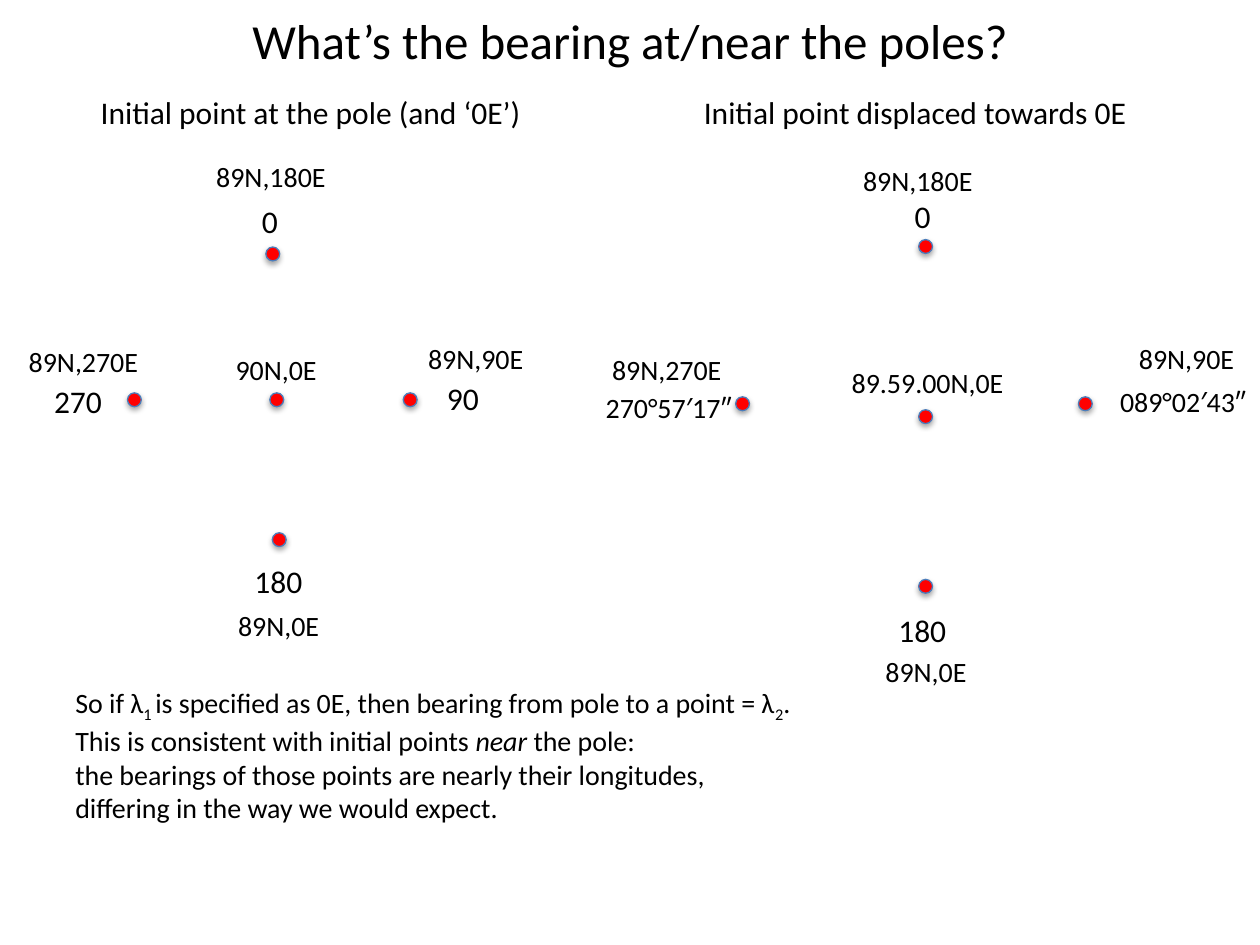
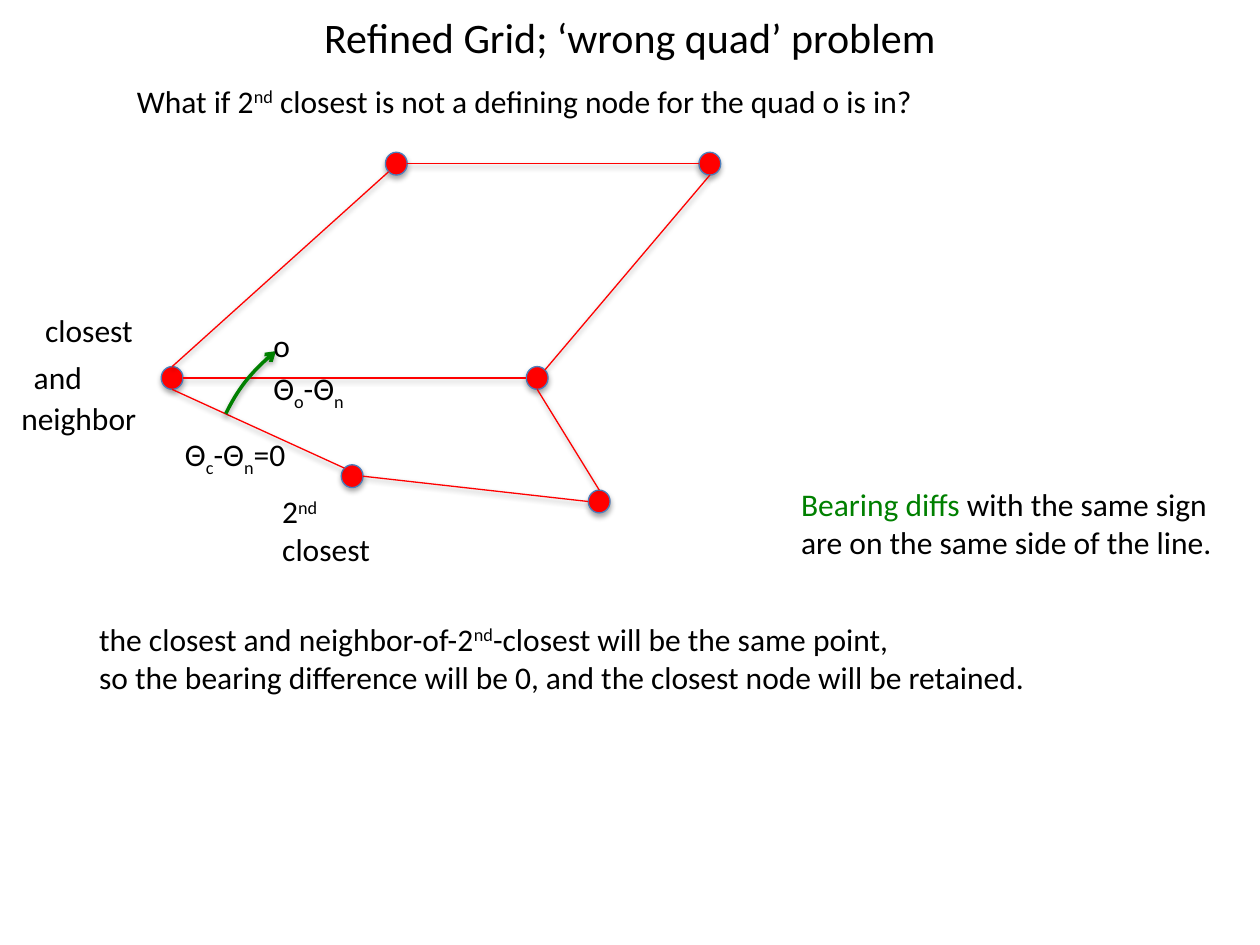
from math import cos, radians, sin

from lxml import etree
from pptx import Presentation
from pptx import util as u
from pptx.dml.color import RGBColor
from pptx.enum import shapes, text
from pptx.oxml.ns import qn

COLORS = {"text": "000000", "point": "FF0000", "outline": "4B7EBC", "bearing": "008000"}
FONT = "Calibri"
BASELINES = {"sub": "-25000", "sup": "30000"}
LABEL_FORMAT = {
    "word_wrap": False,
    "auto_size": text.MSO_AUTO_SIZE.SHAPE_TO_FIT_TEXT,
    "vertical_anchor": text.MSO_ANCHOR.TOP,
}
TITLE_FORMAT = {
    "word_wrap": True,
    "auto_size": text.MSO_AUTO_SIZE.NONE,
    "vertical_anchor": text.MSO_ANCHOR.MIDDLE,
}


def add_text(slide, lines, left, top, width, size, title_height=None):
    """Each line is a list of runs: plain strings or (string, style) pairs."""
    height = title_height or 0.25 + len(lines) * size * 0.043
    box = slide.shapes.add_textbox(u.Cm(left), u.Cm(top), u.Cm(width), u.Cm(height))
    frame = box.text_frame
    for name, value in (TITLE_FORMAT if title_height else LABEL_FORMAT).items():
        setattr(frame, name, value)
    for number, line in enumerate(lines):
        paragraph = frame.add_paragraph() if number else frame.paragraphs[0]
        if title_height:
            paragraph.alignment = text.PP_ALIGN.CENTER
        for part in line:
            words, style = (part, None) if isinstance(part, str) else part
            run = paragraph.add_run()
            run.text = words
            run_format = {"name": FONT, "size": u.Pt(size)}
            if style == "italic":
                run_format["italic"] = True
            for name, value in run_format.items():
                setattr(run.font, name, value)
            run.font.color.rgb = RGBColor.from_string(COLORS.get(style, COLORS["text"]))
            if style in BASELINES:
                run._r.get_or_add_rPr().set("baseline", BASELINES[style])


def add_point(slide, center_x, center_y, width, height):
    """Red dot that keeps the soft shadow of the theme."""
    shape = slide.shapes.add_shape(
        shapes.MSO_SHAPE.OVAL, u.Cm(center_x - width / 2), u.Cm(center_y - height / 2),
        u.Cm(width), u.Cm(height))
    shape.fill.solid()
    shape.fill.fore_color.rgb = RGBColor.from_string(COLORS["point"])
    shape.line.color.rgb = RGBColor.from_string(COLORS["outline"])
    shape.line.width = u.Pt(0.75)


presentation = Presentation()
presentation.slide_width, presentation.slide_height = u.Cm(25.4), u.Cm(19.05)
blank = presentation.slide_layouts[6]

# Slide 1: bearings around the pole
slide = presentation.slides.add_slide(blank)
add_text(slide, [["What’s the bearing at/near the poles?"]], 1.27, 0.05, 22.86, 28, 1.52)
add_text(slide, [["Initial point at the pole (and ‘0E’)"]], 1.78, 1.75, 9.07, 18)
add_text(slide, [["Initial point displaced towards 0E"]], 13.94, 1.75, 9.14, 18)

# Points: pole first, then north, west, east, south
pole_points = [(5.58, 8.06), (5.5, 5.12), (2.71, 8.06), (8.27, 8.06), (5.63, 10.88)]
displaced_points = [(18.66, 8.4), (18.66, 4.97), (14.97, 8.14), (21.88, 8.14), (18.66, 11.82)]
for x, y in pole_points + displaced_points:
    add_point(slide, x, y, 0.28, 0.28)

# Coordinates and bearings: words, left, top, width, size
labels = [
    ("89N,180E", 4.11, 3.1, 2.74, 16),
    ("90N,0E", 4.5, 6.99, 2.16, 16),
    ("89N,270E", 0.33, 6.83, 2.74, 16),
    ("89N,90E", 8.38, 6.76, 2.46, 16),
    ("89N,0E", 4.55, 12.14, 2.16, 16),
    ("0", 5.03, 3.94, 0.84, 18),
    ("270", 0.84, 7.57, 1.5, 18),
    ("90", 8.76, 7.52, 1.17, 18),
    ("180", 4.88, 11.2, 1.5, 18),
    ("89N,180E", 17.15, 3.18, 2.74, 16),
    ("89.59.00N,0E", 16.92, 7.24, 3.61, 16),
    ("89N,270E", 12.09, 6.99, 2.74, 16),
    ("89N,90E", 22.71, 6.76, 2.46, 16),
    ("89N,0E", 17.6, 13.08, 2.16, 16),
    ("0", 18.19, 3.84, 0.84, 18),
    ("270°57′17″", 11.96, 7.75, 3.07, 16),
    ("089°02′43″", 22.33, 7.62, 3.07, 16),
    ("180", 17.86, 12.19, 1.5, 18),
]
for words, left, top, width, size in labels:
    add_text(slide, [[words]], left, top, width, size)

# Conclusion
add_text(slide, [
    ["So if λ", ("1 ", "sub"),
     "is specified as 0E, then bearing from pole to a point = λ", ("2", "sub"), "."],
    ["This is consistent with initial points ", ("near", "italic"), " the pole:"],
    ["the bearings of those points are nearly their longitudes,"],
    ["differing in the way we would expect."],
], 1.27, 13.69, 15.24, 16)

# Slide 2: grid with the wrong quad
slide = presentation.slides.add_slide(blank)
add_text(slide, [["Refined Grid; ‘wrong quad’ problem"]], 1.27, 0, 22.86, 24, 1.47)
add_text(slide, [["What if 2", ("nd", "sup"),
                  " closest is not a defining node for the quad o is in?"]],
         2.51, 1.52, 16.38, 18)

# Grid nodes
NODE_WIDTH, NODE_HEIGHT = 0.44, 0.46
nodes = {
    "closest": (3.47, 7.62),
    "upper left": (7.99, 3.3),
    "upper right": (14.31, 3.3),
    "middle right": (10.83, 7.62),
    "second closest": (7.1, 9.6),
    "lower right": (12.08, 10.11),
}
for x, y in nodes.values():
    add_point(slide, x, y, NODE_WIDTH, NODE_HEIGHT)

# Grid edges: node and clockwise angle on its rim, for both ends
edges = [
    ("upper left", 0, "upper right", 180),
    ("middle right", 315, "upper right", 90),
    ("second closest", 0, "lower right", 180),
    ("middle right", 90, "lower right", 270),
    ("closest", 90, "second closest", 225),
    ("closest", 0, "middle right", 180),
    ("closest", 270, "upper left", 135),
]
for start, start_angle, end, end_angle in edges:
    ends = []
    for node, angle in ((start, start_angle), (end, end_angle)):
        x, y = nodes[node]
        ends += [u.Cm(x + NODE_WIDTH / 2 * cos(radians(angle))),
                 u.Cm(y + NODE_HEIGHT / 2 * sin(radians(angle)))]
    edge = slide.shapes.add_connector(shapes.MSO_CONNECTOR.STRAIGHT, *ends)
    edge.line.color.rgb = RGBColor.from_string(COLORS["point"])
    edge.line.width = u.Pt(0.75)

# Bearing arrow
arc = slide.shapes.add_shape(shapes.MSO_SHAPE.ARC, u.Cm(4.39), u.Cm(6.05), u.Cm(7.62), u.Cm(8.1))
arc.rotation = 295.8
arc.adjustments[0], arc.adjustments[1] = 162, 175.88
arc.fill.background()
arc.line.color.rgb = RGBColor.from_string(COLORS["bearing"])
arc.line.width = u.Pt(2)
etree.SubElement(arc.line._get_or_add_ln(), qn("a:tailEnd"), type="arrow")

# Node names, bearing differences and remarks
notes = [
    ([["o"]], 5.26, 6.45, 0.81),
    ([["closest"]], 0.66, 6.15, 2.31),
    ([["and"]], 0.43, 7.09, 1.5),
    ([["neighbor"]], 0.18, 7.92, 2.84),
    ([["2", ("nd", "sup")], ["closest"]], 5.44, 9.8, 2.31),
    ([["Θ", ("c", "sub"), "-Θ", ("n", "sub"), "=0"]], 3.48, 8.64, 2.62),
    ([["Θ", ("o", "sub"), "-Θ", ("n", "sub")]], 5.26, 7.32, 2.01),
    ([[("Bearing diffs", "bearing"), " with the same sign"],
      ["are on the same side of the line."]], 15.9, 9.65, 9.02),
    ([["the closest and neighbor-of-2", ("nd", "sup"), "-closest will be the same point,"],
      ["so the bearing difference will be 0, and the closest node will be retained."]],
     1.75, 12.37, 19.41),
]
for lines, left, top, width in notes:
    add_text(slide, lines, left, top, width, 18)

presentation.save("out.pptx")
